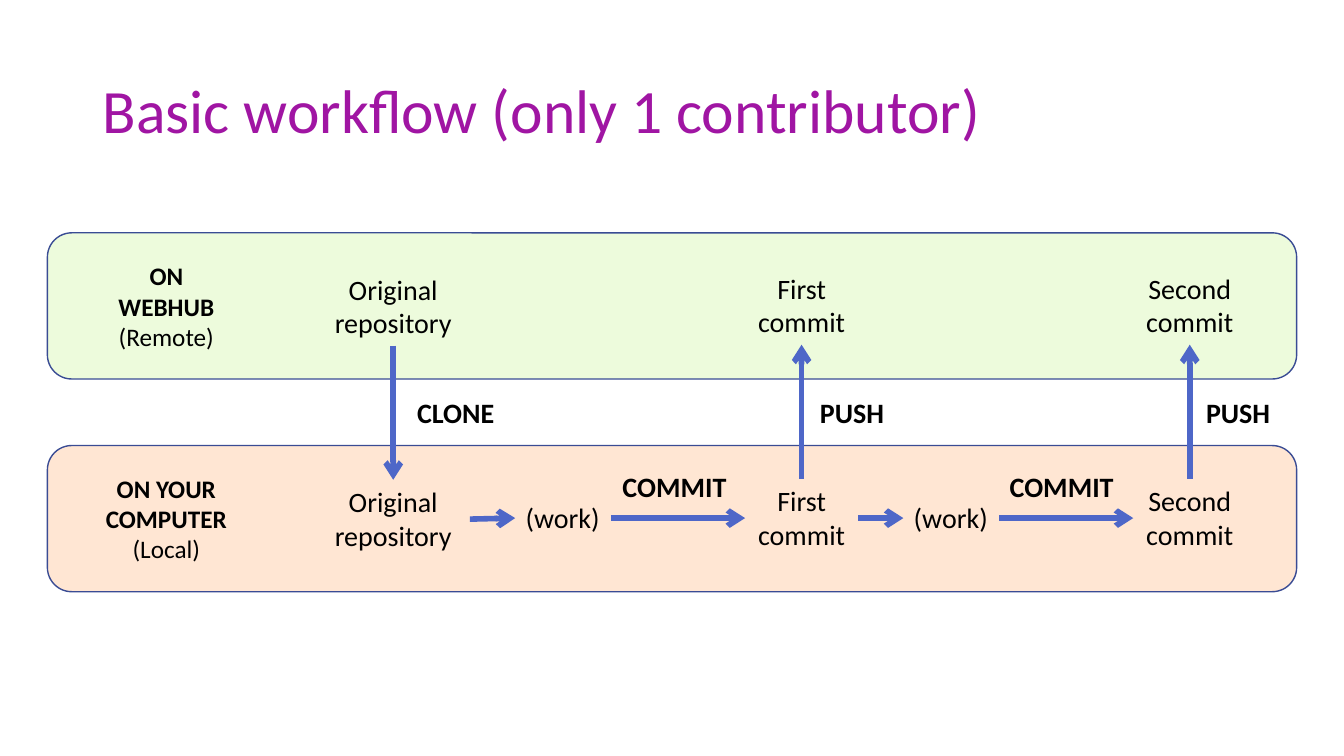
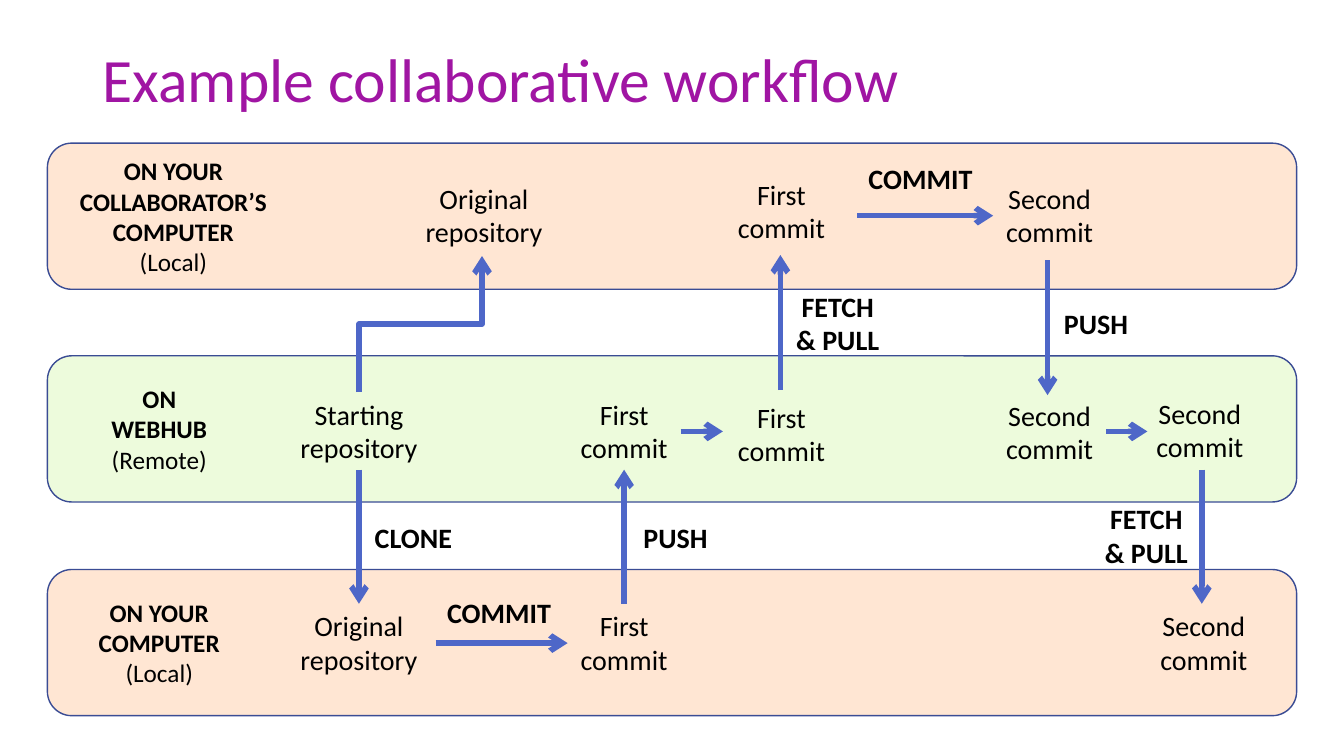
from dataclasses import dataclass
from pptx import Presentation
from pptx.util import Inches, Pt
from pptx.dml.color import RGBColor
from pptx.enum import shapes, text
from pptx.oxml import ns, xmlchemy as xc


@dataclass(frozen=True)
class Theme:
    font: str = "Calibri"
    title: str = "A015A3"
    ink: str = "000000"
    local: str = "FFE6D3"
    remote: str = "EDFBDC"
    edge: str = "3A4C94"
    arrow: str = "4E67C8"
    head: int = 44
    step: int = 20
    label: int = 18


T = Theme()
LEFT, WIDE, TALL = 0.47, 12.39, 1.45
SIZES = {
    "Original repository": (1.52, 0.77),
    "Starting repository": (1.52, 0.77),
    "First commit": (1.12, 0.77),
    "Second commit": (1.12, 0.77),
    "(work)": (0.95, 0.44),
    "COMMIT": (1.26, 0.44),
    "CLONE": (0.98, 0.44),
    "PUSH": (0.95, 0.44),
    "FETCH & PULL": (1.16, 0.77),
}

SLIDES = [
    {
        "title": ("Basic workflow (only 1 contributor)", 0.4, 1.45),
        "bands": [
            (2.31, T.remote, 1.65, 1.5, "ON WEBHUB\v(Remote)"),
            (4.42, T.local, 1.65, 1.5, "ON YOUR COMPUTER\v(Local)"),
        ],
        "steps": [
            ("Original repository", 3.9, 2.65),
            ("First commit", 7.95, 2.64),
            ("Second commit", 11.8, 2.64),
            ("Original repository", 3.9, 4.76),
            ("(work)", 5.58, 4.92),
            ("First commit", 7.95, 4.75),
            ("(work)", 9.43, 4.92),
            ("Second commit", 11.8, 4.75),
        ],
        "verbs": [
            ("CLONE", 4.52, 3.87),
            ("PUSH", 8.45, 3.87),
            ("PUSH", 12.28, 3.87),
            ("COMMIT", 6.69, 4.61),
            ("COMMIT", 10.53, 4.61),
        ],
        "arrows": [
            (3.9, 3.43, 3.9, 4.76),
            (7.95, 4.75, 7.95, 3.42),
            (11.8, 4.75, 11.8, 3.42),
            (4.66, 5.15, 5.11, 5.14),
            (6.06, 5.14, 7.39, 5.14),
            (8.51, 5.14, 8.96, 5.14),
            (9.91, 5.14, 11.24, 5.14),
        ],
    },
    {
        "title": ("Example collaborative workflow", 0.22, 1.19),
        "bands": [
            (1.42, T.local, 1.72, 2.24, "ON YOUR COLLABORATOR’S COMPUTER\v(Local)"),
            (3.53, T.remote, 1.58, 1.5, "ON WEBHUB\v(Remote)"),
            (5.65, T.local, 1.58, 1.5, "ON YOUR COMPUTER\v(Local)"),
        ],
        "steps": [
            ("Original repository", 4.8, 1.75),
            ("First commit", 7.75, 1.71),
            ("Second commit", 10.41, 1.75),
            ("Starting repository", 3.56, 3.89),
            ("First commit", 6.19, 3.89),
            ("First commit", 7.75, 3.92),
            ("Second commit", 10.41, 3.9),
            ("Second commit", 11.9, 3.88),
            ("Original repository", 3.56, 5.99),
            ("First commit", 6.19, 5.99),
            ("Second commit", 11.94, 5.99),
        ],
        "verbs": [
            ("COMMIT", 9.13, 1.55),
            ("FETCH & PULL", 8.31, 2.82),
            ("PUSH", 10.87, 2.99),
            ("CLONE", 4.1, 5.11),
            ("PUSH", 6.7, 5.11),
            ("FETCH & PULL", 11.37, 4.93),
            ("COMMIT", 4.95, 5.86),
        ],
        "arrows": [
            (3.56, 3.89, 4.78, 2.54),
            (7.74, 3.87, 7.74, 2.53),
            (8.5, 2.14, 9.85, 2.14),
            (10.39, 2.58, 10.39, 3.92),
            (6.75, 4.28, 7.17, 4.28),
            (10.97, 4.28, 11.38, 4.28),
            (3.56, 4.66, 3.56, 5.99),
            (6.19, 5.99, 6.19, 4.66),
            (11.92, 4.66, 11.92, 5.99),
            (4.32, 6.38, 5.63, 6.38),
        ],
    },
]


def write(page, words, box, size, color=T.ink, bold=False):
    frame = page.shapes.add_textbox(*map(Inches, box)).text_frame
    frame.word_wrap = True
    frame.text = words
    para = frame.paragraphs[0]
    para.alignment = text.PP_ALIGN.CENTER
    for run in para.runs:
        run.font.name = T.font
        run.font.size = Pt(size)
        run.font.bold = bold
        run.font.color.rgb = RGBColor.from_string(color)
    return frame


def link(page, x1, y1, x2, y2):
    bent = abs(x2 - x1) > 0.1 and abs(y2 - y1) > 0.1
    kind = shapes.MSO_CONNECTOR.STRAIGHT
    ends = (x1, y1, x2, y2)
    if bent:
        kind = shapes.MSO_CONNECTOR.ELBOW
        midx, midy = (x1 + x2) / 2, (y1 + y2) / 2
        dx, dy = (x2 - x1) / 2, (y2 - y1) / 2
        ends = (midx - dy, midy + dx, midx + dy, midy - dx)
    line = page.shapes.add_connector(kind, *map(Inches, ends))
    line.line.color.rgb = RGBColor.from_string(T.arrow)
    line.line.width = Pt(4)
    props = line._element.spPr
    if bent:
        props.find(ns.qn("a:xfrm")).set("rot", "5400000")
    tip = xc.OxmlElement("a:tailEnd")
    tip.set("type", "arrow")
    props.find(ns.qn("a:ln")).append(tip)
    props.append(xc.OxmlElement("a:effectLst"))


deck = Presentation()
deck.slide_width = Inches(13.33)
deck.slide_height = Inches(7.5)

for plan in SLIDES:
    page = deck.slides.add_slide(deck.slide_layouts[6])

    words, top, high = plan["title"]
    frame = write(page, words, (0.92, top, 11.5, high), T.head, T.title)
    frame.vertical_anchor = text.MSO_ANCHOR.MIDDLE
    frame.paragraphs[0].alignment = text.PP_ALIGN.LEFT
    frame.paragraphs[0].line_spacing = 0.9

    for top, fill, mid, wide, words in plan["bands"]:
        band = page.shapes.add_shape(
            shapes.MSO_SHAPE.ROUNDED_RECTANGLE,
            *map(Inches, (LEFT, top, WIDE, TALL)))
        band.shadow.inherit = False
        band.fill.solid()
        band.fill.fore_color.rgb = RGBColor.from_string(fill)
        band.line.color.rgb = RGBColor.from_string(T.edge)
        band.line.width = Pt(1)
        box = (mid - wide / 2, top, wide, TALL)
        frame = write(page, words, box, T.label)
        frame.vertical_anchor = text.MSO_ANCHOR.MIDDLE
        frame.paragraphs[0].runs[0].font.bold = True

    for group, bold in (("steps", False), ("verbs", True)):
        for words, mid, top in plan[group]:
            wide, high = SIZES[words]
            write(page, words, (mid - wide / 2, top, wide, high), T.step, bold=bold)

    for ends in plan["arrows"]:
        link(page, *ends)

deck.save("out.pptx")
